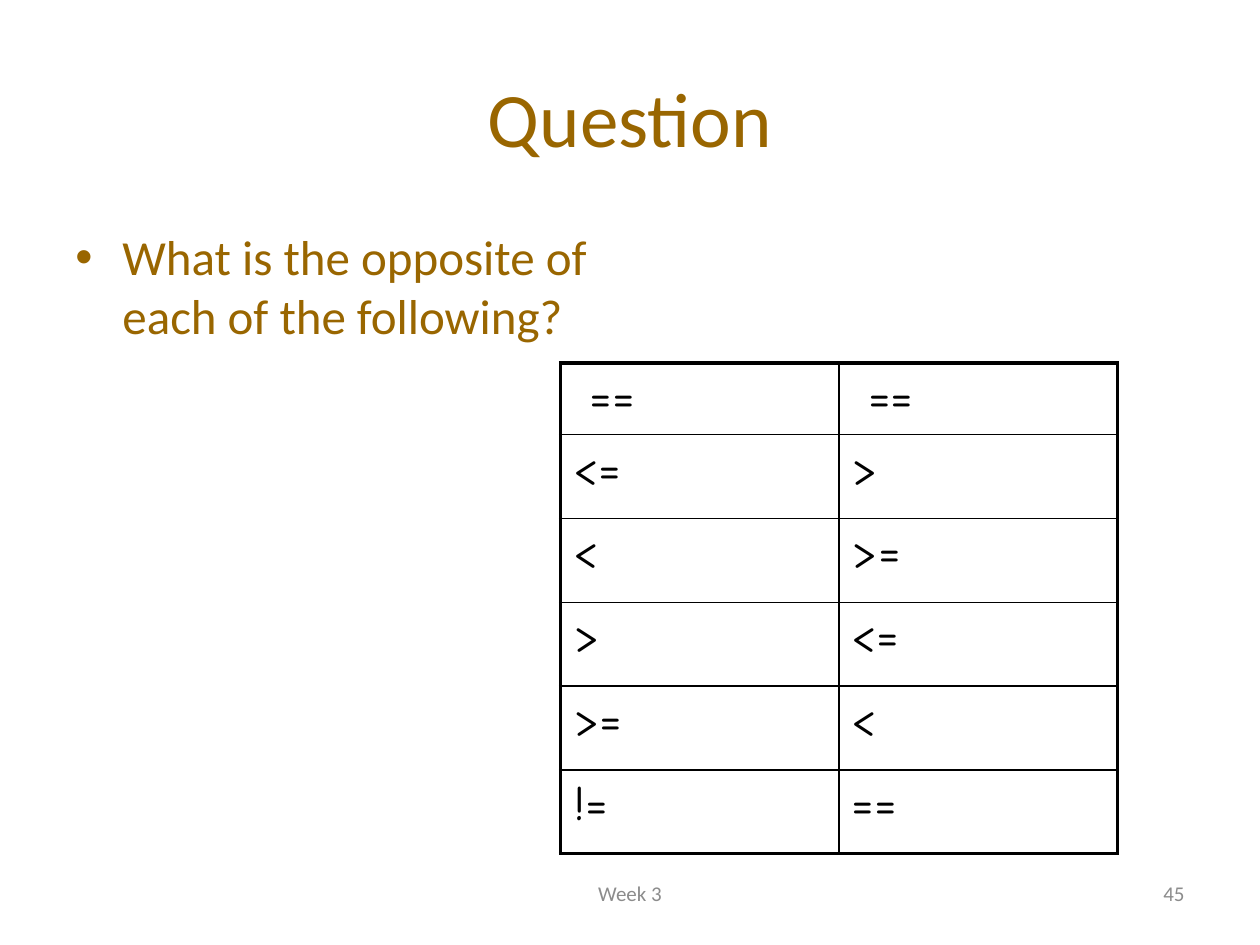
from lxml.etree import SubElement
from pptx import Presentation
from pptx.dml.color import RGBColor
from pptx.enum.text import MSO_ANCHOR, PP_ALIGN
from pptx.oxml import parse_xml
from pptx.oxml.ns import nsdecls, qn
from pptx.util import Cm, Pt

COLORS = {"brown": "996600", "black": "000000", "grey": "8C8C8C"}
FORMATS = {
    "title": {"size": Pt(44), "name": "Calibri", "color": "brown"},
    "body": {"size": Pt(28), "name": "Calibri", "color": "brown"},
    "operator": {"size": Pt(28), "name": "Comic Neue", "color": "black"},
    "footer": {"size": Pt(12), "name": "Calibri", "color": "grey"},
}
SPACE_BEFORE = Pt(5.6)
THICK, THIN = Pt(2.25), Pt(1)


class SlideBuilder:
    def __init__(self, slide):
        self.slide = slide

    def styled_run(self, paragraph, text, style):
        run = paragraph.add_run()
        run.text = text
        for key, value in FORMATS[style].items():
            if key == "color":
                run.font.color.rgb = RGBColor.from_string(COLORS[value])
            else:
                setattr(run.font, key, value)

    def text(self, box, text, style, align=PP_ALIGN.LEFT, anchor=MSO_ANCHOR.MIDDLE):
        frame = self.slide.shapes.add_textbox(*map(Cm, box)).text_frame
        frame.word_wrap = True
        frame.vertical_anchor = anchor
        paragraph = frame.paragraphs[0]
        paragraph.alignment = align
        self.styled_run(paragraph, text, style)
        return paragraph

    def bullet(self, box, text, style):
        paragraph = self.text(box, text, style, anchor=MSO_ANCHOR.TOP)
        paragraph.space_before = SPACE_BEFORE
        properties = paragraph._p.get_or_add_pPr()
        properties.set("marL", str(Cm(0.95)))
        properties.set("indent", str(-Cm(0.95)))
        SubElement(properties, qn("a:buFont"), typeface="Arial")
        SubElement(properties, qn("a:buChar"), char="•")

    def borders(self, cell, widths):
        properties = cell._tc.get_or_add_tcPr()
        for index, (side, width) in enumerate(widths.items()):
            properties.insert(index, parse_xml(
                f'<a:ln{side} {nsdecls("a")} w="{width}"><a:solidFill>'
                f'<a:srgbClr val="{COLORS["black"]}"/></a:solidFill></a:ln{side}>'))

    def table(self, box, rows, heights, style):
        last_row, last_column = len(rows) - 1, len(rows[0]) - 1
        table = self.slide.shapes.add_table(
            len(rows), len(rows[0]), *map(Cm, box)).table
        table.first_row = table.horz_banding = False
        for r, (row, height) in enumerate(zip(rows, heights)):
            table.rows[r].height = Cm(height)
            for c, text in enumerate(row):
                cell = table.cell(r, c)
                cell.fill.background()
                paragraph = cell.text_frame.paragraphs[0]
                paragraph.space_before = SPACE_BEFORE
                self.styled_run(paragraph, text, style)
                self.borders(cell, {
                    "L": THICK if c == 0 else THIN,
                    "R": THICK if c == last_column else THIN,
                    "T": THICK if r == 0 else THIN,
                    "B": THICK if r == last_row else THIN,
                })


deck = Presentation()
deck.slide_width, deck.slide_height = Cm(25.4), Cm(19.05)
page = SlideBuilder(deck.slides.add_slide(deck.slide_layouts[6]))

page.text((1.27, 0.76, 22.86, 3.18), "Question", "title", PP_ALIGN.CENTER)
page.bullet((1.27, 4.45, 11.23, 12.57),
            "What is the opposite of each of the following?", "body")

opposites = [(" ==", " =="), ("<=", ">"), ("<", ">="),
             (">", "<="), (">=", "<"), ("!=", "==")]
page.table((11.3, 7.32, 11.23, 9.85), opposites,
           [1.4] + [1.69] * (len(opposites) - 1), "operator")

page.text((18.2, 17.35, 5.93, 1.32), "45", "footer", PP_ALIGN.RIGHT)
page.text((8.68, 17.35, 8.04, 1.32), "Week 3", "footer", PP_ALIGN.CENTER)

deck.save("out.pptx")
